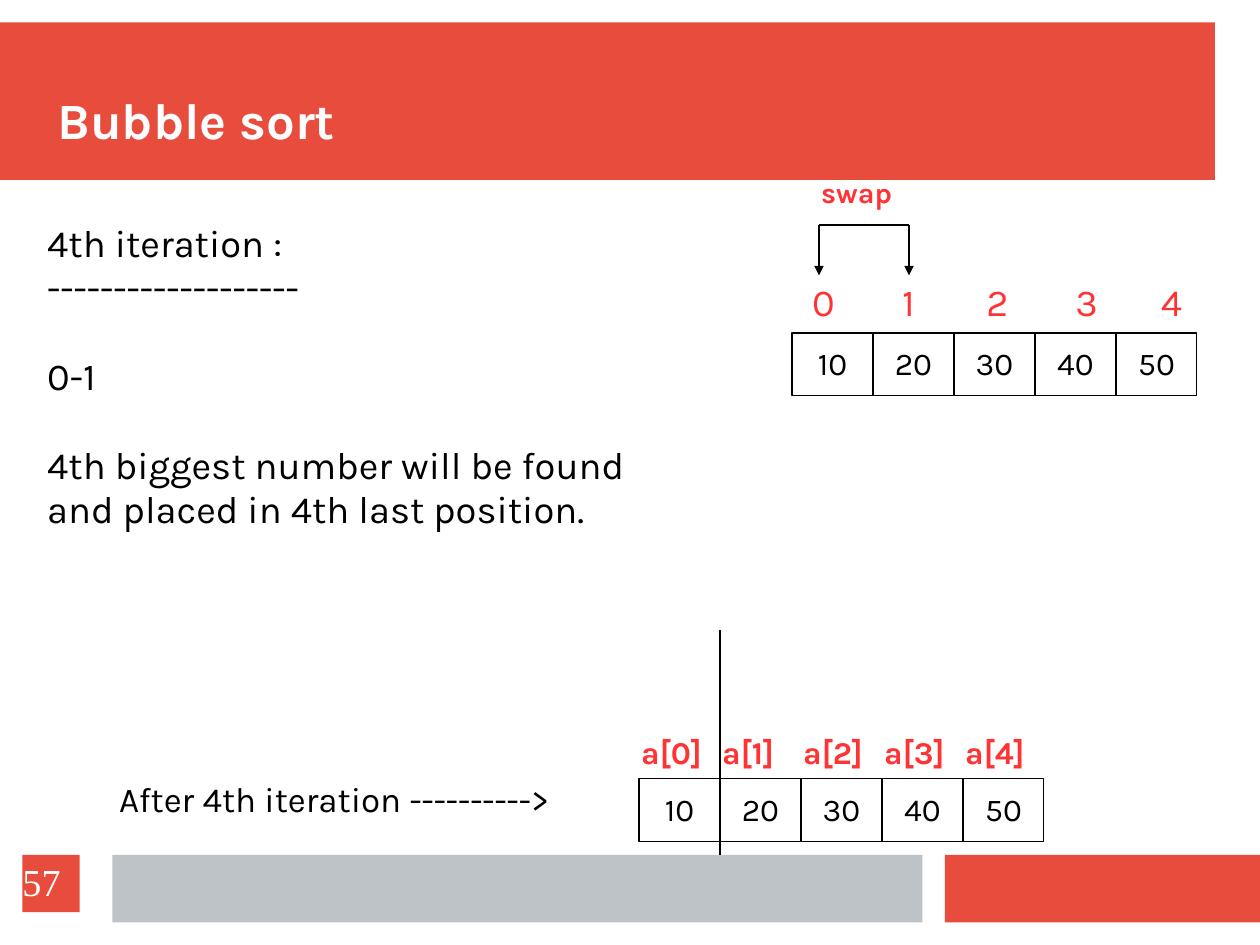
from lxml.etree import SubElement
from pptx import Presentation
from pptx.dml.color import RGBColor
from pptx.enum.shapes import MSO_CONNECTOR, MSO_SHAPE
from pptx.enum.text import MSO_ANCHOR, MSO_AUTO_SIZE, PP_ALIGN
from pptx.oxml.ns import qn
from pptx.util import Cm, Pt

ORANGE = RGBColor(0xE7, 0x4C, 0x3C)
GRAY = RGBColor(0xBD, 0xC3, 0xC7)
RED = RGBColor(0xFF, 0x33, 0x33)
BLACK = RGBColor(0, 0, 0)
WHITE = RGBColor(0xFF, 0xFF, 0xFF)

deck = Presentation()
deck.slide_width, deck.slide_height = Cm(28), Cm(21)
page = deck.slides.add_slide(deck.slide_layouts[5])


def add_block(left, top, width, height, color):
    block = page.shapes.add_shape(
        MSO_SHAPE.RECTANGLE, Cm(left), Cm(top), Cm(width), Cm(height))
    block.shadow.inherit = False
    block.fill.solid()
    block.fill.fore_color.rgb = color
    block.line.fill.background()
    return block


def write(box, text, size, color, bold=False, align=PP_ALIGN.LEFT, font="Karla"):
    frame = box.text_frame
    frame.text = text
    frame.word_wrap = False
    for para in frame.paragraphs:
        para.alignment = align
        para.line_spacing = 0.97
        for span in para.runs:
            span.font.name = font
            span.font.size = Pt(size)
            span.font.bold = bold
            span.font.color.rgb = color


# Title band and footer bars, placed behind the title
title = page.shapes.title
for bar in [(0, 0.5, 27, 3.5, ORANGE), (21, 19, 7, 1.5, ORANGE), (2.5, 19, 18, 1.5, GRAY)]:
    title.element.addprevious(add_block(*bar).element)

title.left, title.top, title.width, title.height = Cm(1.27), Cm(1), Cm(25.6), Cm(2.36)
write(title, "Bubble sort", 32, WHITE, bold=True)
frame = title.text_frame
frame.auto_size = MSO_AUTO_SIZE.NONE
frame.vertical_anchor = MSO_ANCHOR.BOTTOM
frame.margin_left = frame.margin_right = frame.margin_top = frame.margin_bottom = 0

# The array before and after the iteration
CELL_WIDTH, CELL_HEIGHT = 1.8, 1.4
for row_left, row_top in [(17.6, 7.4), (14.2, 17.3)]:
    for index, value in enumerate([10, 20, 30, 40, 50]):
        cell = add_block(row_left + index * CELL_WIDTH, row_top, CELL_WIDTH, CELL_HEIGHT, WHITE)
        cell.line.color.rgb = BLACK
        cell.line.width = Pt(0.75)
        write(cell, str(value), 20, BLACK, align=PP_ALIGN.CENTER)

# Labels: left, top, width, height, text, size, color, bold
labels = [
    (0.8, 4.8, 14.6, 7.2,
     "4th iteration :\n-------------------\n0-1\n"
     "4th biggest number will be found\nand placed in 4th last position.",
     24, BLACK, False),
    (2.4, 17.2, 11.1, 1.2, "After 4th iteration ---------->", 22, BLACK, False),
    (18, 3.8, 2.34, 1.02, "swap", 18, RED, True),
]
for index, left in enumerate([17.8, 19.8, 21.67, 23.65, 25.55]):
    labels.append((left, 6.12, 1.04, 1.27, str(index), 24, RED, False))
    labels.append((14 + index * CELL_WIDTH, 16.2, 2.1, 1.1, f"a[{index}]", 20, RED, True))
for left, top, width, height, text, size, color, bold in labels:
    box = page.shapes.add_textbox(Cm(left), Cm(top), Cm(width), Cm(height))
    write(box, text, size, color, bold)
    for para in box.text_frame.paragraphs:
        if para.text.startswith(("0-1", "4th biggest")):
            para.space_before = Pt(28)

# Swap bracket and the divider of the sorted part
for x1, y1, x2, y2, arrow in [
    (18.2, 5, 20.2, 5, False),
    (18.2, 5, 18.2, 6.12, True),
    (20.2, 5, 20.2, 6.12, True),
    (16, 14, 16, 19, False),
]:
    line = page.shapes.add_connector(MSO_CONNECTOR.STRAIGHT, Cm(x1), Cm(y1), Cm(x2), Cm(y2))
    line.line.color.rgb = BLACK
    line.line.width = Pt(0.75)
    if arrow:
        SubElement(line.line._get_or_add_ln(), qn("a:tailEnd"), type="triangle")
    SubElement(line.element.spPr, qn("a:effectLst"))

number = add_block(0.5, 19, 1.27, 1.27, ORANGE)
write(number, "57", 24, WHITE, font="Times New Roman")
frame = number.text_frame
frame.word_wrap = True
frame.margin_left = frame.margin_right = frame.margin_top = frame.margin_bottom = 0

deck.save("out.pptx")
